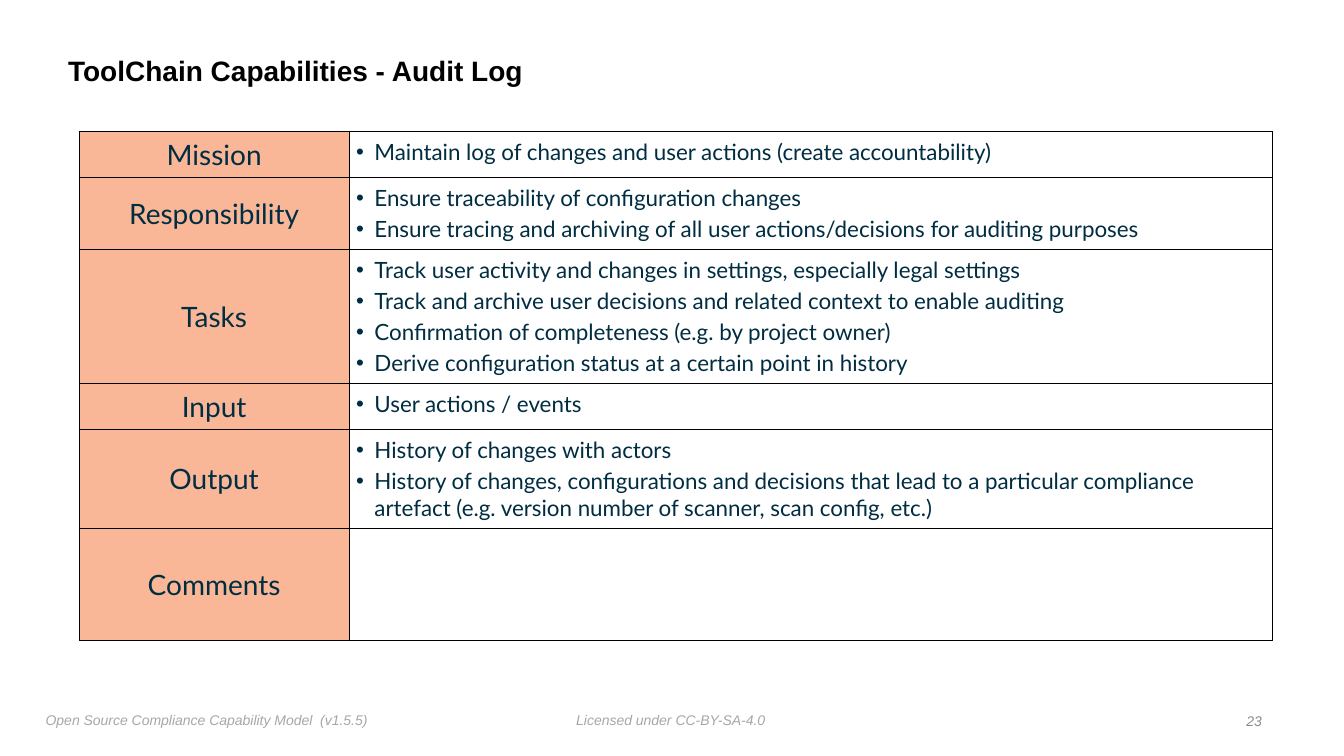
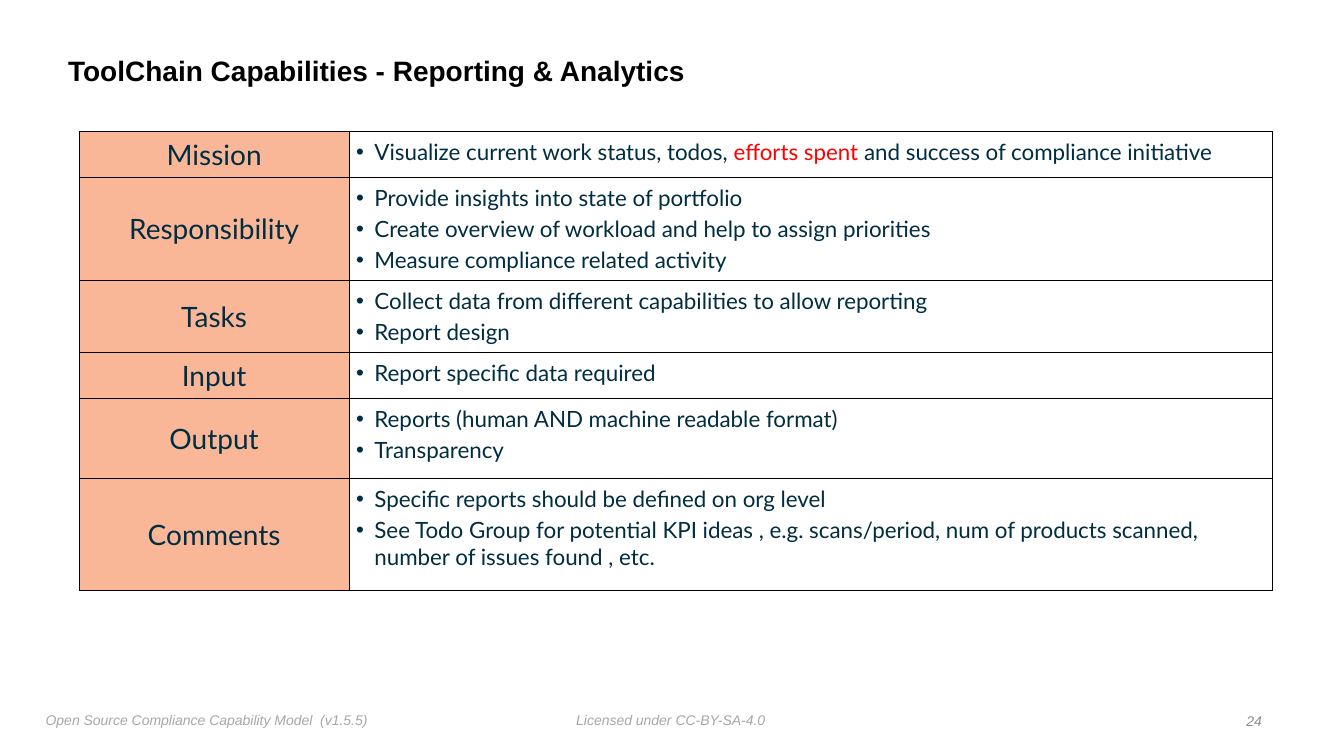
from lxml import etree
from pptx import Presentation
from pptx.dml.color import RGBColor
from pptx.enum import text as t
from pptx.oxml import ns
from pptx.util import Pt

TITLE_ONLY = 5
COLORS = {
    "title": "000000", "border": "000000", "label": "FAB798", "body": "002D41",
    "accent": "FF0000", "footer": "A7A7A7", "number": "888C91",
}
TITLE = {"name": "Arial", "size": Pt(20), "bold": True}
FOOTER = {"name": "Arial", "size": Pt(10), "italic": True}
LABEL = {"name": "Lato", "size": Pt(20)}
BODY = {"name": "Lato", "size": Pt(16)}
LABELS = ["Mission", "Responsibility", "Tasks", "Input", "Output", "Comments"]


def color(value):
    return RGBColor.from_string(value)


def add_xml(parent, tag, **attributes):
    return etree.SubElement(parent, ns.qn(tag), attributes)


class Deck:
    """Holds the shared style and the current slide."""

    def __init__(self):
        self.presentation = Presentation()
        self.presentation.slide_width = Pt(960)
        self.presentation.slide_height = Pt(540)
        self.slide = None

    def add_slide(self, title, number):
        layout = self.presentation.slide_layouts[TITLE_ONLY]
        self.slide = self.presentation.slides.add_slide(layout)
        self.title(title)
        self.footer("Open Source Compliance Capability Model  (v1.5.5)", 29, 505, 239)
        self.footer("Licensed under CC-BY-SA-4.0", 408, 505, 143)
        self.footer(str(number), 886, 506, 19, COLORS["number"],
                    t.PP_ALIGN.RIGHT, t.MSO_ANCHOR.MIDDLE)

    def run(self, paragraph, content, style, fill):
        run = paragraph.add_run()
        run.text = content
        for name, value in style.items():
            setattr(run.font, name, value)
        run.font.color.rgb = color(fill)

    def set_margins(self, target, size):
        for side in ("left", "top", "right", "bottom"):
            setattr(target, f"margin_{side}", Pt(size))

    def title(self, content):
        shape = self.slide.shapes.title
        shape.left, shape.top, shape.width, shape.height = Pt(45), Pt(28), Pt(774), Pt(47)
        frame = shape.text_frame
        frame.vertical_anchor = t.MSO_ANCHOR.MIDDLE
        frame.auto_size = t.MSO_AUTO_SIZE.NONE
        self.set_margins(frame, 3.6)
        paragraph = frame.paragraphs[0]
        paragraph.alignment = t.PP_ALIGN.LEFT
        paragraph.line_spacing = 0.9
        self.run(paragraph, content, TITLE, COLORS["title"])

    def footer(self, content, left, top, width, fill=COLORS["footer"],
               alignment=t.PP_ALIGN.LEFT, anchor=t.MSO_ANCHOR.TOP):
        frame = self.slide.shapes.add_textbox(Pt(left), Pt(top), Pt(width), Pt(18)).text_frame
        frame.word_wrap = False
        frame.auto_size = t.MSO_AUTO_SIZE.SHAPE_TO_FIT_TEXT
        frame.vertical_anchor = anchor
        self.set_margins(frame, 3.6)
        frame.paragraphs[0].alignment = alignment
        self.run(frame.paragraphs[0], content, FOOTER, fill)

    def borders(self, cell):
        properties = cell._tc.get_or_add_tcPr()
        for side in ("L", "R", "T", "B"):
            line = add_xml(properties, f"a:ln{side}", w=str(Pt(0.5)))
            add_xml(add_xml(line, "a:solidFill"), "a:srgbClr", val=COLORS["border"])

    def label_cell(self, cell, content):
        self.borders(cell)
        cell.fill.solid()
        cell.fill.fore_color.rgb = color(COLORS["label"])
        cell.vertical_anchor = t.MSO_ANCHOR.MIDDLE
        self.set_margins(cell, 0)
        paragraph = cell.text_frame.paragraphs[0]
        paragraph.alignment = t.PP_ALIGN.CENTER
        self.run(paragraph, content, LABEL, COLORS["body"])

    def bullet_cell(self, cell, items):
        self.borders(cell)
        cell.fill.background()
        self.set_margins(cell, 5)
        frame = cell.text_frame
        for index, item in enumerate(items):
            paragraph = frame.add_paragraph() if index else frame.paragraphs[0]
            properties = paragraph._p.get_or_add_pPr()
            properties.set("marL", str(Pt(13)))
            properties.set("indent", str(Pt(-13)))
            add_xml(properties, "a:buFont", typeface="Arial")
            add_xml(properties, "a:buChar", char="•")
            if index:
                paragraph.space_before = Pt(3)
            # An item is plain text or a list of (text, colour name) pieces
            pieces = [(item, "body")] if isinstance(item, str) else item
            for content, fill in pieces:
                self.run(paragraph, content, BODY, COLORS[fill])

    def capability_table(self, rows):
        height = sum(row_height for row_height, _ in rows)
        table = self.slide.shapes.add_table(
            len(rows), 2, Pt(56.5), Pt(94), Pt(852.5), Pt(height)).table
        table.first_row = table.horz_banding = False
        for column, width in zip(table.columns, (193, 659.5)):
            column.width = Pt(width)
        for index, (label, (row_height, items)) in enumerate(zip(LABELS, rows)):
            table.rows[index].height = Pt(row_height)
            self.label_cell(table.cell(index, 0), label)
            self.bullet_cell(table.cell(index, 1), items)


# Each row: height in points, bullet items
AUDIT_LOG = [
    (32.8, ["Maintain log of changes and user actions (create accountability)"]),
    (51, ["Ensure traceability of configuration changes",
          "Ensure tracing and archiving of all user actions/decisions for auditing purposes"]),
    (95.6, ["Track user activity and changes in settings, especially legal settings",
            "Track and archive user decisions and related context to enable auditing",
            "Confirmation of completeness (e.g. by project owner)",
            "Derive configuration status at a certain point in history"]),
    (32.8, ["User actions / events"]),
    (70, ["History of changes with actors",
          "History of changes, configurations and decisions that lead to a particular "
          "compliance artefact (e.g. version number of scanner, scan config, etc.)"]),
    (80, []),
]
REPORTING = [
    (32.8, [[("Visualize current work status, todos, ", "body"),
             ("efforts spent ", "accent"),
             ("and success of compliance initiative", "body")]]),
    (73, ["Provide insights into state of portfolio",
          "Create overview of workload and help to assign priorities",
          "Measure compliance related activity"]),
    (51, ["Collect data from different capabilities to allow reporting",
          "Report design"]),
    (32.8, ["Report specific data required"]),
    (57.4, ["Reports (human AND machine readable format)",
            "Transparency"]),
    (80, ["Specific reports should be defined on org level",
          "See Todo Group for potential KPI ideas , e.g. scans/period, num of products "
          "scanned, number of issues found , etc."]),
]


def main():
    deck = Deck()
    capabilities = [("Audit Log", AUDIT_LOG), ("Reporting & Analytics", REPORTING)]
    for number, (name, rows) in enumerate(capabilities, start=23):
        deck.add_slide(f"ToolChain Capabilities - {name}", number)
        deck.capability_table(rows)
    deck.presentation.save("out.pptx")


if __name__ == "__main__":
    main()
